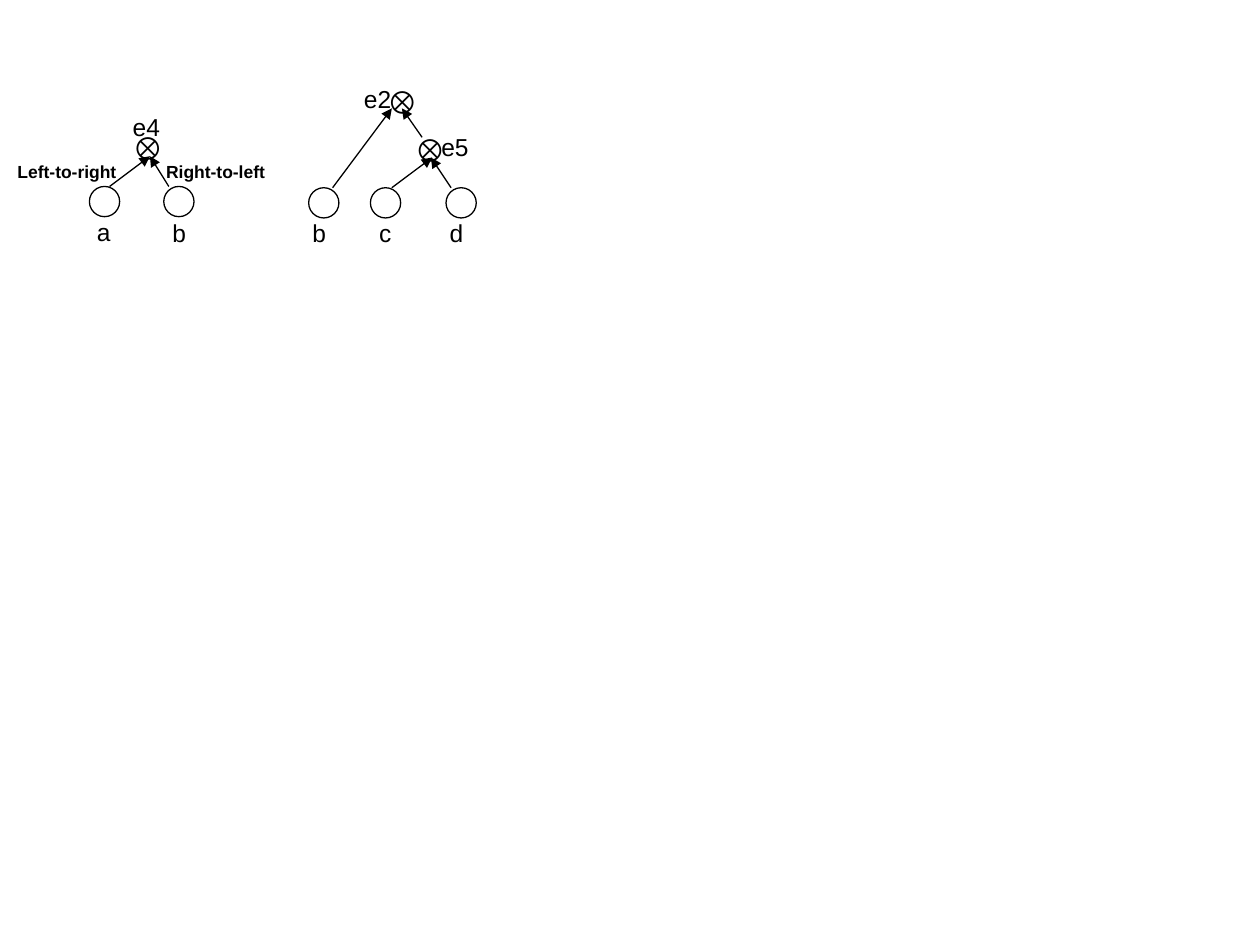
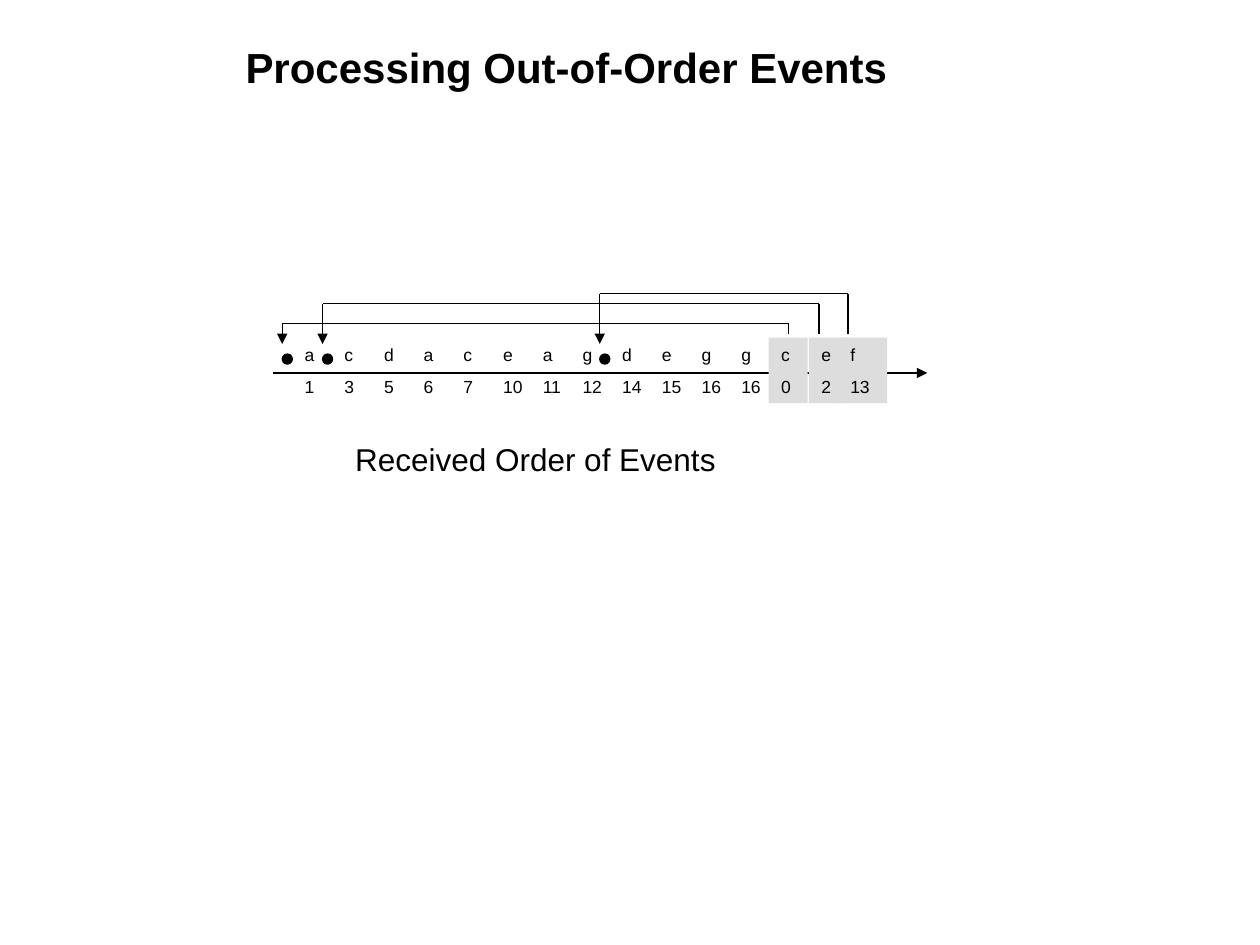
from pptx import Presentation
from pptx.dml.color import RGBColor
from pptx.enum.shapes import MSO_CONNECTOR, MSO_SHAPE
from pptx.enum.text import MSO_ANCHOR, MSO_AUTO_SIZE, PP_ALIGN
from pptx.oxml.ns import qn
from pptx.util import Inches, Pt
from lxml import etree

STRAIGHT = MSO_CONNECTOR.STRAIGHT
OVAL = MSO_SHAPE.OVAL
RECTANGLE = MSO_SHAPE.RECTANGLE
TOP = MSO_ANCHOR.TOP
LEFT = PP_ALIGN.LEFT
FIT_SHAPE = MSO_AUTO_SIZE.SHAPE_TO_FIT_TEXT

COLORS = {"ink": "000000", "late": "DDDDDD"}
INK = RGBColor.from_string(COLORS["ink"])
FONT = "Arial"
LINE_WIDTH = Pt(0.75)


def add_text(s, box, lines, size, before=0, bold=False, wrap=True, fill=None):
    box = [Inches(v) for v in box]
    if fill:
        sp = s.shapes.add_shape(RECTANGLE, *box)
        sp.shadow.inherit = False
        sp.fill.solid()
        sp.fill.fore_color.rgb = RGBColor.from_string(fill)
        sp.line.fill.background()
    else:
        sp = s.shapes.add_textbox(*box)
    tf = sp.text_frame
    tf.word_wrap = wrap
    tf.auto_size = FIT_SHAPE
    tf.vertical_anchor = TOP
    for i, line in enumerate(lines):
        p = tf.add_paragraph() if i else tf.paragraphs[0]
        p.alignment = LEFT
        p.space_before = Pt(before)
        r = p.add_run()
        r.text = line
        r.font.name = FONT
        r.font.size = Pt(size)
        r.font.bold = bold
        r.font.color.rgb = INK


def add_line(s, x1, y1, x2, y2, arrow=False):
    ln = s.shapes.add_connector(STRAIGHT, Inches(x1), Inches(y1), Inches(x2), Inches(y2))
    ln.line.color.rgb = INK
    ln.line.width = LINE_WIDTH
    if arrow:
        etree.SubElement(ln.line._get_or_add_ln(), qn("a:tailEnd"), type="triangle")
    etree.SubElement(ln._element.spPr, qn("a:effectLst"))


prs = Presentation()
prs.slide_width = Inches(10)
prs.slide_height = Inches(7.5)
blank = prs.slide_layouts[6]

s = prs.slides.add_slide(blank)

leaves = [
    ("a", 0.71, 1.48, 0.67, 1.67),
    ("b", 1.30, 1.48, 1.27, 1.68),
    ("b", 2.45, 1.49, 2.38, 1.68),
    ("c", 2.94, 1.49, 2.91, 1.68),
    ("d", 3.54, 1.49, 3.47, 1.68),
]
for name, x, y, label_x, label_y in leaves:
    sp = s.shapes.add_shape(OVAL, Inches(x), Inches(y), Inches(0.24), Inches(0.24))
    sp.shadow.inherit = False
    sp.fill.background()
    sp.line.color.rgb = INK
    sp.line.width = LINE_WIDTH
    add_text(s, (label_x, label_y, 0.39, 0.34), [name], 14, 8.8)

edges = [
    (0.87, 1.48, 1.19, 1.24),
    (1.34, 1.48, 1.19, 1.24),
    (2.64, 1.49, 3.11, 0.86),
    (3.11, 1.49, 3.43, 1.25),
    (3.58, 1.49, 3.42, 1.25),
    (3.35, 1.09, 3.19, 0.86),
]
for edge in edges:
    add_line(s, *edge, arrow=True)

joins = [
    (" e4", 0.95, 0.97, 0.90, 0.84),
    ("e2", 2.97, 0.60, 2.79, 0.62),
    (" e5", 3.19, 0.98, 3.35, 1.00),
]
for name, x, y, label_x, label_y in joins:
    add_text(s, (x, y, 0.45, 0.4), ["⊗"], 18, wrap=False)
    add_text(s, (label_x, label_y, 0.55, 0.34), [name], 14, 8.8)

for direction, x in [("Left-to-right", 0.04), ("Right-to-left", 1.22)]:
    add_text(s, (x, 1.23, 1.02, 0.27), [direction], 10, 6.2, bold=True)

s = prs.slides.add_slide(blank)
add_text(s, (1.85, 0.28, 5.35, 0.5), ["Processing Out-of-Order Events"], 24, 15, bold=True)
add_text(s, (2.72, 3.44, 3.46, 0.4), ["Received Order of Events"], 18, 11.2)
add_line(s, 2.17, 2.96, 7.36, 2.96, arrow=True)

event_top, event_height, event_step = 2.68, 0.52, 0.315
times = [1, 3, 5, 6, 7, 10, 11, 12, 14, 15, 16, 16]
for i, (event, time) in enumerate(zip("acdaceagdegg", times)):
    box = (2.32 + i * event_step, event_top, 0.47, event_height)
    add_text(s, box, [event, str(time)], 10, 6.2)

late_events = [
    ("c", 0, 6.10, 0.31, 6.26, 2.57, 2.24),
    ("e", 2, 6.42, 0.32, 6.50, 2.41, 2.56),
    ("f", 13, 6.65, 0.39, 6.73, 2.33, 4.76),
]
for event, time, x, width, start_x, bend_y, slot_x in late_events:
    box = (x, event_top, width, event_height)
    add_text(s, box, [event, str(time)], 10, 6.2, fill=COLORS["late"])
    add_line(s, start_x, 2.65, start_x, bend_y)
    add_line(s, start_x, bend_y, slot_x, bend_y)
    add_line(s, slot_x, bend_y, slot_x, 2.73, arrow=True)
    sp = s.shapes.add_shape(OVAL, Inches(slot_x), Inches(2.81), Inches(0.08), Inches(0.08))
    sp.shadow.inherit = False
    sp.fill.solid()
    sp.fill.fore_color.rgb = INK
    sp.line.color.rgb = INK
    sp.line.width = LINE_WIDTH

prs.save("out.pptx")
